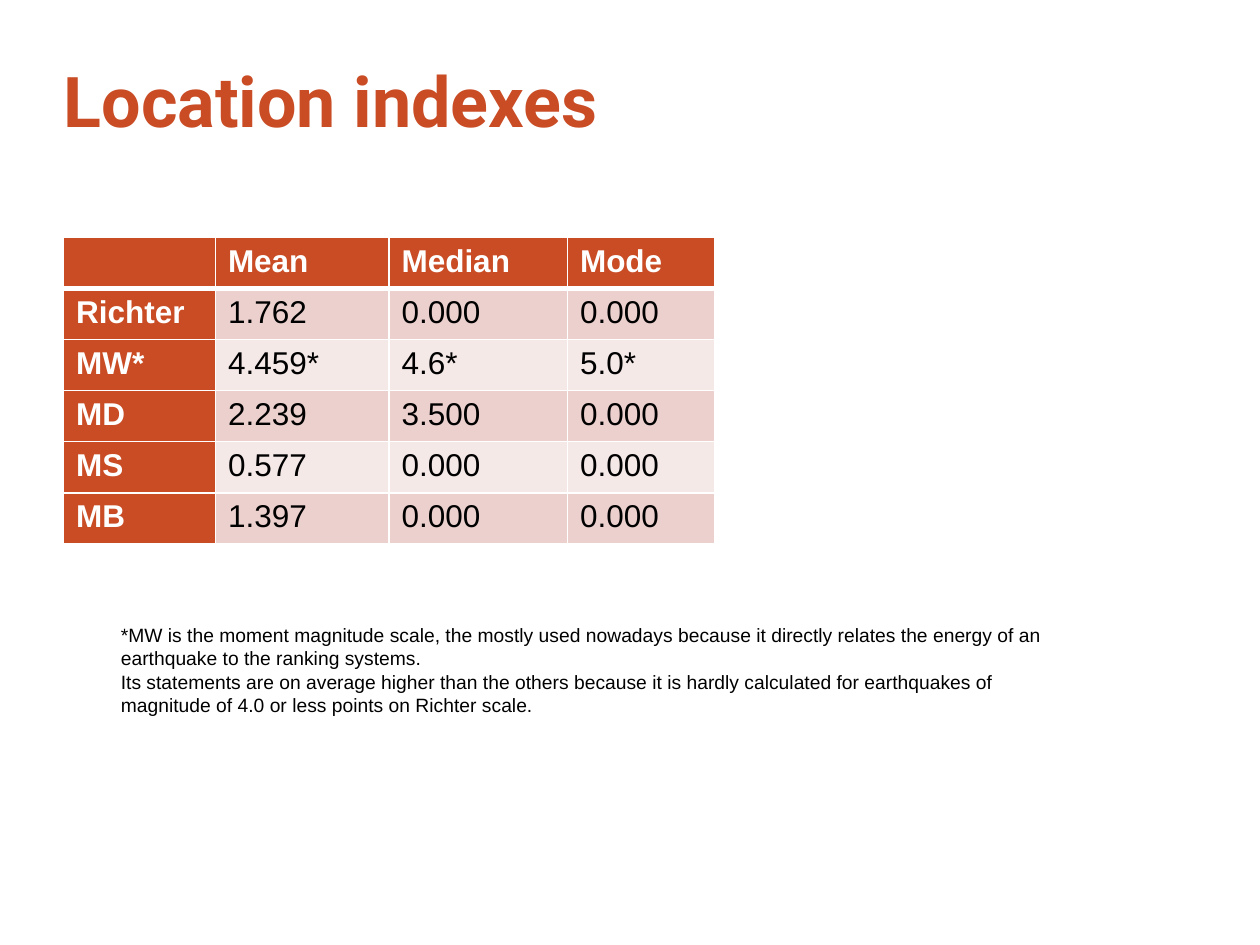
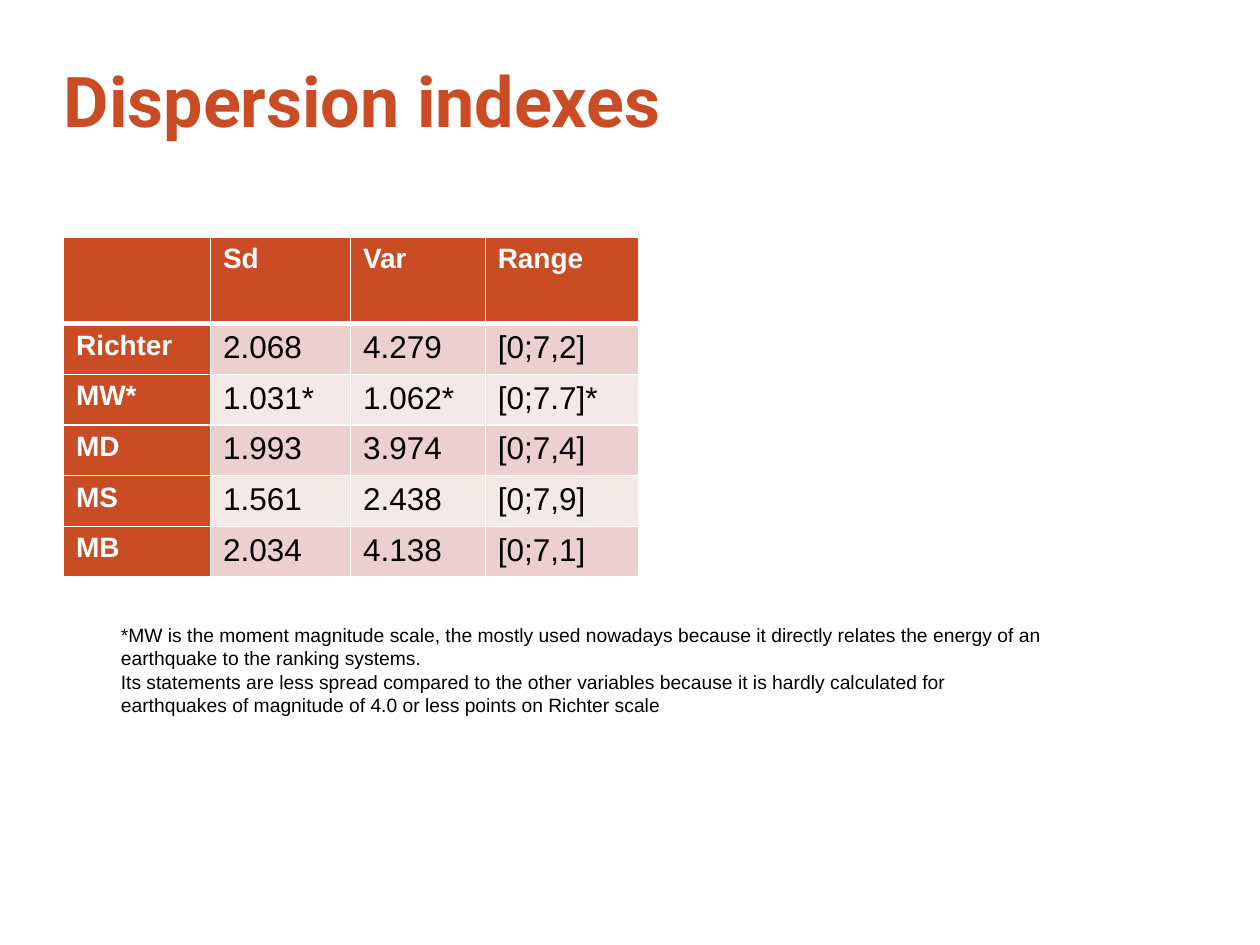
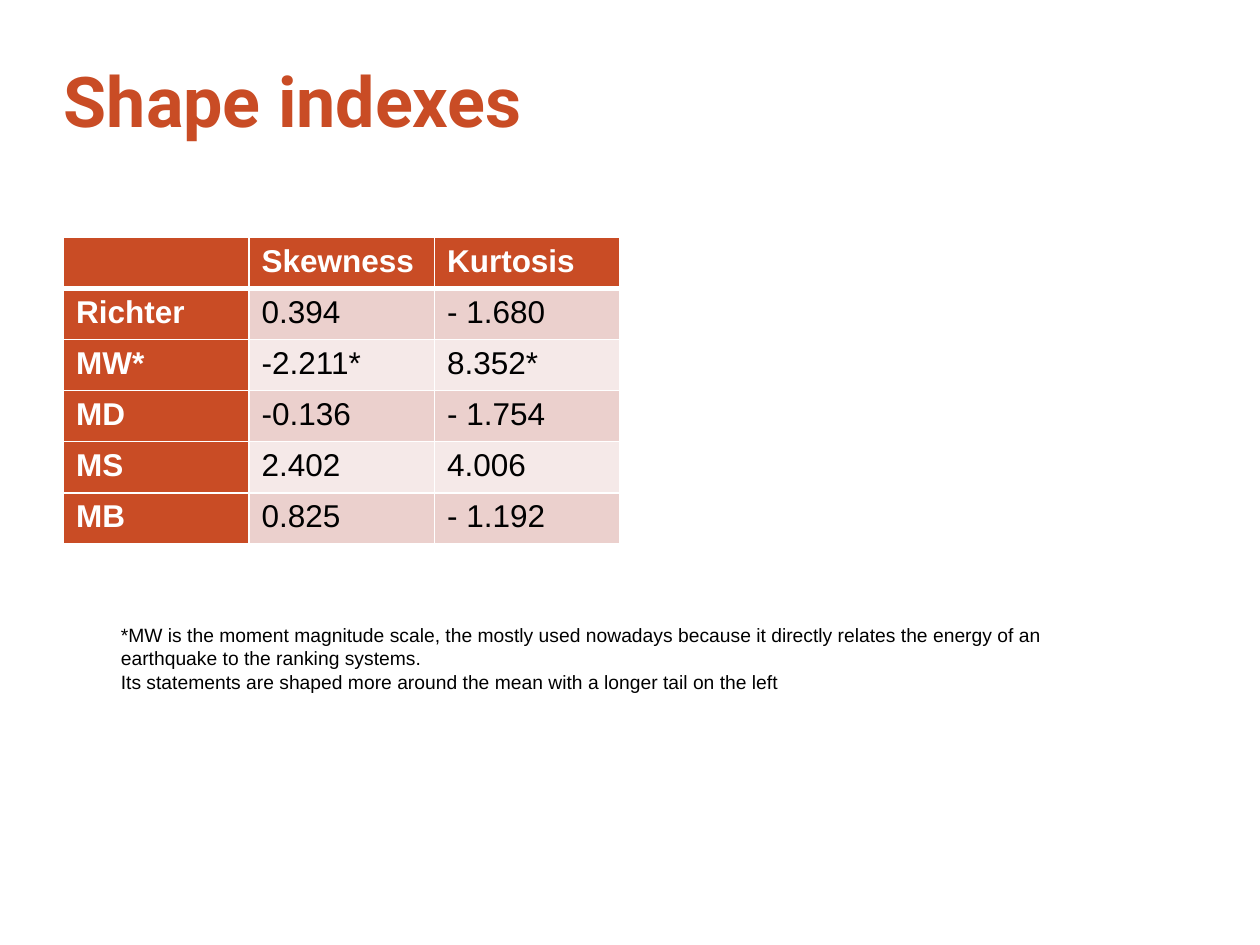
from dataclasses import dataclass

from lxml import etree
from pptx import Presentation
from pptx.dml.color import RGBColor
from pptx.enum import text
from pptx.oxml import ns
from pptx.util import Pt

ORANGE = RGBColor(0xC9, 0x4C, 0x25)
ROSE = RGBColor(0xEB, 0xD0, 0xCD)
PALE_ROSE = RGBColor(0xF5, 0xE9, 0xE8)
WHITE = RGBColor(0xFF, 0xFF, 0xFF)
BLACK = RGBColor(0x00, 0x00, 0x00)

TITLE_FONT = "Roboto"
BODY_FONT = "Arial"
VALUE_SIZE = 18
SCALES = ("Richter", "MW*", "MD", "MS", "MB")
MW_NOTE = (
    "*MW is the moment magnitude scale, the mostly used nowadays because it directly "
    "relates the energy of an earthquake to the ranking systems."
)


@dataclass(frozen=True)
class IndexSlide:
    """Title, table of indexes by scale, and remark of one slide."""

    title: str
    headers: tuple[str, ...]
    values: tuple[tuple[str, ...], ...]
    widths: tuple[float, ...]
    remark: str
    note_height: float
    label_size: float = 18
    header_height: float = 29.2
    row_height: float = 29.2


INDEX_SLIDES = (
    IndexSlide(
        title="Location indexes",
        headers=("Mean", "Median", "Mode"),
        values=(
            ("1.762", "0.000", "0.000"),
            ("4.459*", "4.6*", "5.0*"),
            ("2.239", "3.500", "0.000"),
            ("0.577", "0.000", "0.000"),
            ("1.397", "0.000", "0.000"),
        ),
        widths=(86.8, 99.2, 102, 84),
        remark="Its statements are on average higher than the others because it is hardly "
        "calculated for earthquakes of magnitude of 4.0 or less points on Richter scale.",
        note_height=90,
    ),
    IndexSlide(
        title="Dispersion indexes",
        headers=("Sd", "Var", "Range"),
        values=(
            ("2.068", "4.279", "[0;7,2]"),
            ("1.031*", "1.062*", "[0;7.7]*"),
            ("1.993", "3.974", "[0;7,4]"),
            ("1.561", "2.438", "[0;7,9]"),
            ("2.034", "4.138", "[0;7,1]"),
        ),
        widths=(84, 80, 77, 88),
        remark="Its statements are less spread compared to the other variables because it is "
        "hardly calculated for earthquakes of magnitude of 4.0 or less points on Richter scale",
        note_height=75,
        label_size=16,
        header_height=49.4,
        row_height=28.95,
    ),
    IndexSlide(
        title="Shape indexes",
        headers=("Skewness", "Kurtosis"),
        values=(
            ("0.394", "- 1.680"),
            ("-2.211*", "8.352*"),
            ("-0.136", "- 1.754"),
            ("2.402", "4.006"),
            ("0.825", "- 1.192"),
        ),
        widths=(106, 106, 106),
        remark="Its statements are shaped more around the mean with a longer tail on the left",
        note_height=62,
    ),
)


def write(paragraph, content: str, font_name: str, size: float, color: RGBColor, bold: bool = False) -> None:
    """Fill a paragraph and set its font."""
    paragraph.text = content
    font = paragraph.font
    font.name, font.size, font.bold = font_name, Pt(size), bold
    font.color.rgb = color


def add_title(slide, title: str) -> None:
    """Add the slide's heading."""
    frame = slide.shapes.add_textbox(Pt(36.5), Pt(30), Pt(365), Pt(53.5)).text_frame
    frame.word_wrap = True
    frame.vertical_anchor = text.MSO_ANCHOR.MIDDLE
    frame.margin_left = frame.margin_right = 0
    write(frame.paragraphs[0], title, TITLE_FONT, 40, ORANGE, bold=True)


def add_note(slide, remark: str, height: float) -> None:
    """Add the note on the MW scale."""
    frame = slide.shapes.add_textbox(Pt(62), Pt(352.8), Pt(548), Pt(height)).text_frame
    frame.word_wrap = True
    frame.auto_size = text.MSO_AUTO_SIZE.SHAPE_TO_FIT_TEXT
    write(frame.paragraphs[0], f"{MW_NOTE}\n{remark}", BODY_FONT, 11, BLACK)


def set_borders(cell, top: float, bottom: float) -> None:
    """Draw white borders around a cell, with hairlines at the sides."""
    properties = cell._tc.get_or_add_tcPr()
    for side, width in (("L", 1), ("R", 1), ("T", top), ("B", bottom)):
        line = etree.SubElement(properties, ns.qn(f"a:ln{side}"), w=str(Pt(width)))
        fill = etree.SubElement(line, ns.qn("a:solidFill"))
        etree.SubElement(fill, ns.qn("a:srgbClr"), val=str(WHITE))


def add_index_table(slide, content: IndexSlide) -> None:
    """Add the table with a header row, scale labels and banded values."""
    rows = [("", *content.headers)]
    rows += [(scale, *values) for scale, values in zip(SCALES, content.values)]
    heights = [content.header_height] + [content.row_height] * len(SCALES)
    table = slide.shapes.add_table(
        len(rows), len(content.widths), Pt(36.3), Pt(135.6), Pt(sum(content.widths)), Pt(sum(heights))
    ).table
    table.first_row = table.horz_banding = False
    for column, width in zip(table.columns, content.widths):
        column.width = Pt(width)
    for row_index, (row, height) in enumerate(zip(rows, heights)):
        table.rows[row_index].height = Pt(height)
        for column_index, value in enumerate(row):
            cell = table.cell(row_index, column_index)
            set_borders(cell, top=3 if row_index == 1 else 1, bottom=3 if row_index == 0 else 1)
            is_label = row_index == 0 or column_index == 0
            band = ROSE if row_index % 2 else PALE_ROSE
            cell.fill.solid()
            cell.fill.fore_color.rgb = ORANGE if is_label else band
            size = content.label_size if is_label else VALUE_SIZE
            color = WHITE if is_label else BLACK
            write(cell.text_frame.paragraphs[0], value, BODY_FONT, size, color, bold=is_label)


def main() -> None:
    """Build the three slides of indexes."""
    presentation = Presentation()
    presentation.slide_width, presentation.slide_height = Pt(720), Pt(540)
    for content in INDEX_SLIDES:
        slide = presentation.slides.add_slide(presentation.slide_layouts[6])
        add_title(slide, content.title)
        add_index_table(slide, content)
        add_note(slide, content.remark, content.note_height)
    presentation.save("out.pptx")


if __name__ == "__main__":
    main()
